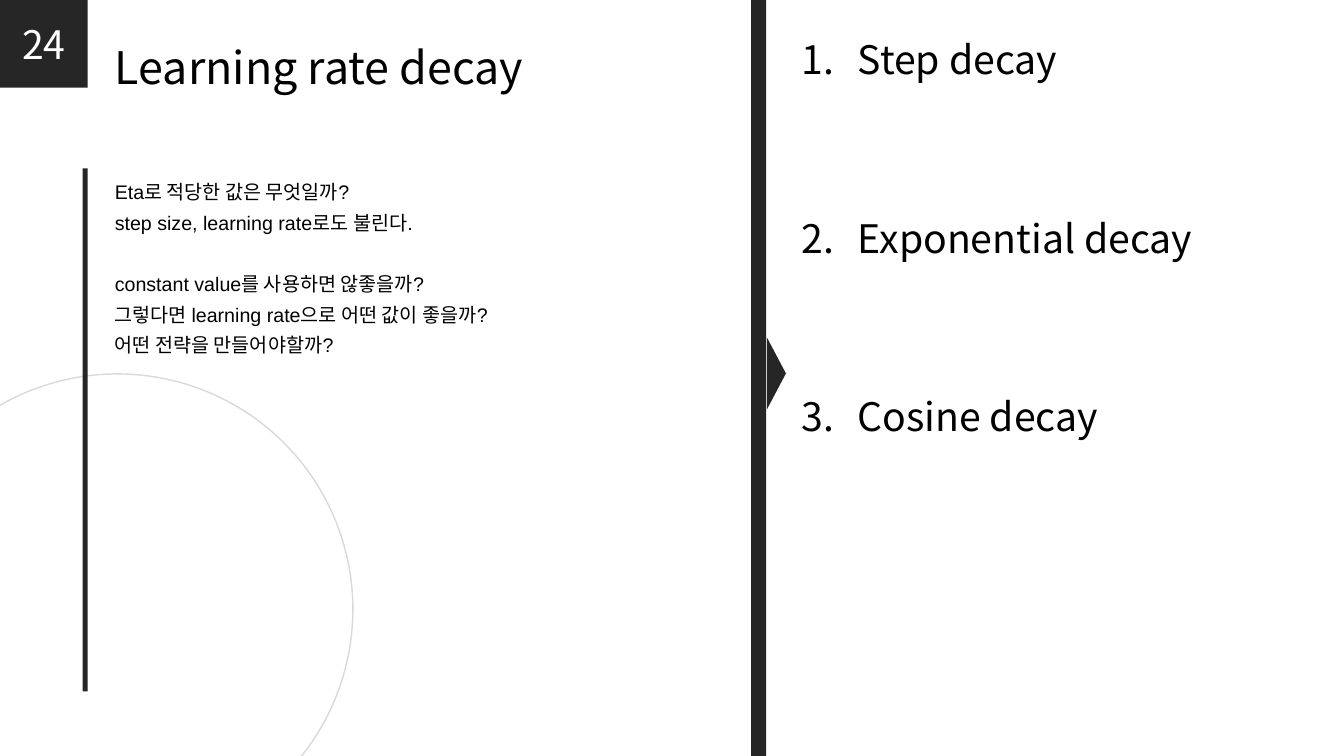
"""Build the learning rate decay slide."""
from dataclasses import dataclass
from typing import Any, Optional

from lxml import etree
from pptx import Presentation
from pptx.dml.color import RGBColor
from pptx.enum.shapes import MSO_SHAPE
from pptx.enum.text import MSO_ANCHOR, MSO_AUTO_SIZE, PP_ALIGN
from pptx.oxml.ns import qn
from pptx.util import Inches, Pt

RECT, OVAL, WEDGE = MSO_SHAPE.RECTANGLE, MSO_SHAPE.OVAL, MSO_SHAPE.ISOSCELES_TRIANGLE
TOP, MIDDLE = MSO_ANCHOR.TOP, MSO_ANCHOR.MIDDLE
LEFT, CENTER = PP_ALIGN.LEFT, PP_ALIGN.CENTER
FIXED = MSO_AUTO_SIZE.NONE
DARK = RGBColor(0x26, 0x26, 0x26)
GRAY = RGBColor(0xD9, 0xD9, 0xD9)
BLACK = RGBColor(0, 0, 0)
WHITE = RGBColor(0xFF, 0xFF, 0xFF)
SANS, ARIAL = "Noto Sans CJK JP", "Arial"
INDENT = Inches(0.56)


@dataclass
class Form:
    kind: Any
    box: tuple[float, float, float, float]
    fill: Optional[RGBColor] = DARK
    line: Optional[RGBColor] = None
    turn: float = 0


@dataclass
class Style:
    font: str
    size: float
    color: RGBColor = BLACK
    align: Any = LEFT
    anchor: Any = TOP
    wrap: bool = False
    pitch: float = 1.0
    number: bool = False


@dataclass
class Row:
    text: str
    gap: float = 0


FORMS = [
    Form(OVAL, (-1.17, 3.71, 4.67, 4.67), None, GRAY),
    Form(RECT, (0.82, 1.67, 0.05, 5.19)),
    Form(RECT, (7.45, 0, 0.15, 7.5)),
    Form(WEDGE, (7.34, 3.61, 0.72, 0.19), turn=90),
]
BADGE = Form(RECT, (0, 0, 0.87, 0.87))
QUERY = [
    Row("Eta로 적당한 값은 무엇일까?"),
    Row("step size, learning rate로도 불린다."),
    Row("constant value를 사용하면 않좋을까?", 21.8),
    Row("그렇다면 learning rate으로 어떤 값이 좋을까?"),
    Row("어떤 전략을 만들어야할까?"),
]
DECAY = [Row("Step decay"), Row("Exponential decay", 94), Row("Cosine decay", 94)]


def apply(item: Any, values: dict[str, Any]) -> None:
    """Set each named value on the item."""
    for name, value in values.items():
        setattr(item, name, value)


def place(item: Any, box: tuple[float, float, float, float]) -> None:
    """Move and size the item."""
    apply(item, dict(zip(("left", "top", "width", "height"), map(Inches, box))))


def draw(slide: Any, form: Form) -> Any:
    """Draw one preset shape."""
    shape = slide.shapes.add_shape(form.kind, *map(Inches, form.box))
    shape.shadow.inherit = False
    shape.rotation = form.turn
    if form.fill is None:
        shape.fill.background()
    else:
        shape.fill.solid()
        shape.fill.fore_color.rgb = form.fill
    if form.line is None:
        shape.line.fill.background()
    else:
        shape.line.color.rgb = form.line
        shape.line.width = Pt(1)
    return shape


def write(shape: Any, rows: list[Row], style: Style) -> None:
    """Fill the shape with styled paragraphs."""
    frame = shape.text_frame
    apply(frame, {"word_wrap": style.wrap, "vertical_anchor": style.anchor,
                  "auto_size": FIXED})
    for index, row in enumerate(rows):
        para = frame.add_paragraph() if index else frame.paragraphs[0]
        if style.number:
            props = para._p.get_or_add_pPr()
            props.set("marL", str(INDENT))
            props.set("indent", str(-INDENT))
            etree.SubElement(props, qn("a:buFont"), typeface="+mj-lt")
            etree.SubElement(props, qn("a:buAutoNum"), type="arabicPeriod")
        apply(para, {"alignment": style.align, "line_spacing": style.pitch,
                     "space_before": Pt(row.gap), "space_after": Pt(0)})
        run = para.add_run()
        run.text = row.text
        apply(run.font, {"name": style.font, "size": Pt(style.size)})
        run.font.color.rgb = style.color


def main() -> None:
    """Build and save the slide."""
    deck = Presentation()
    apply(deck, {"slide_width": Inches(13.33), "slide_height": Inches(7.5)})
    slide = deck.slides.add_slide(deck.slide_layouts[5])
    for form in FORMS:
        draw(slide, form)
    badge = draw(slide, BADGE)
    write(badge, [Row("24")], Style(SANS, 28, WHITE, CENTER, MIDDLE))
    title = slide.shapes.title
    place(title, (1.04, 0.34, 4.42, 0.64))
    write(title, [Row("Learning rate decay")], Style(SANS, 32))
    query = slide.shapes.add_textbox(*map(Inches, (1.04, 1.67, 5.96, 1.91)))
    write(query, QUERY, Style(ARIAL, 14, wrap=True, pitch=1.3))
    decay = slide.shapes.add_textbox(*map(Inches, (7.85, 0.3, 4.18, 4.34)))
    write(decay, DECAY, Style(SANS, 28, number=True))
    deck.save("out.pptx")


if __name__ == "__main__":
    main()
